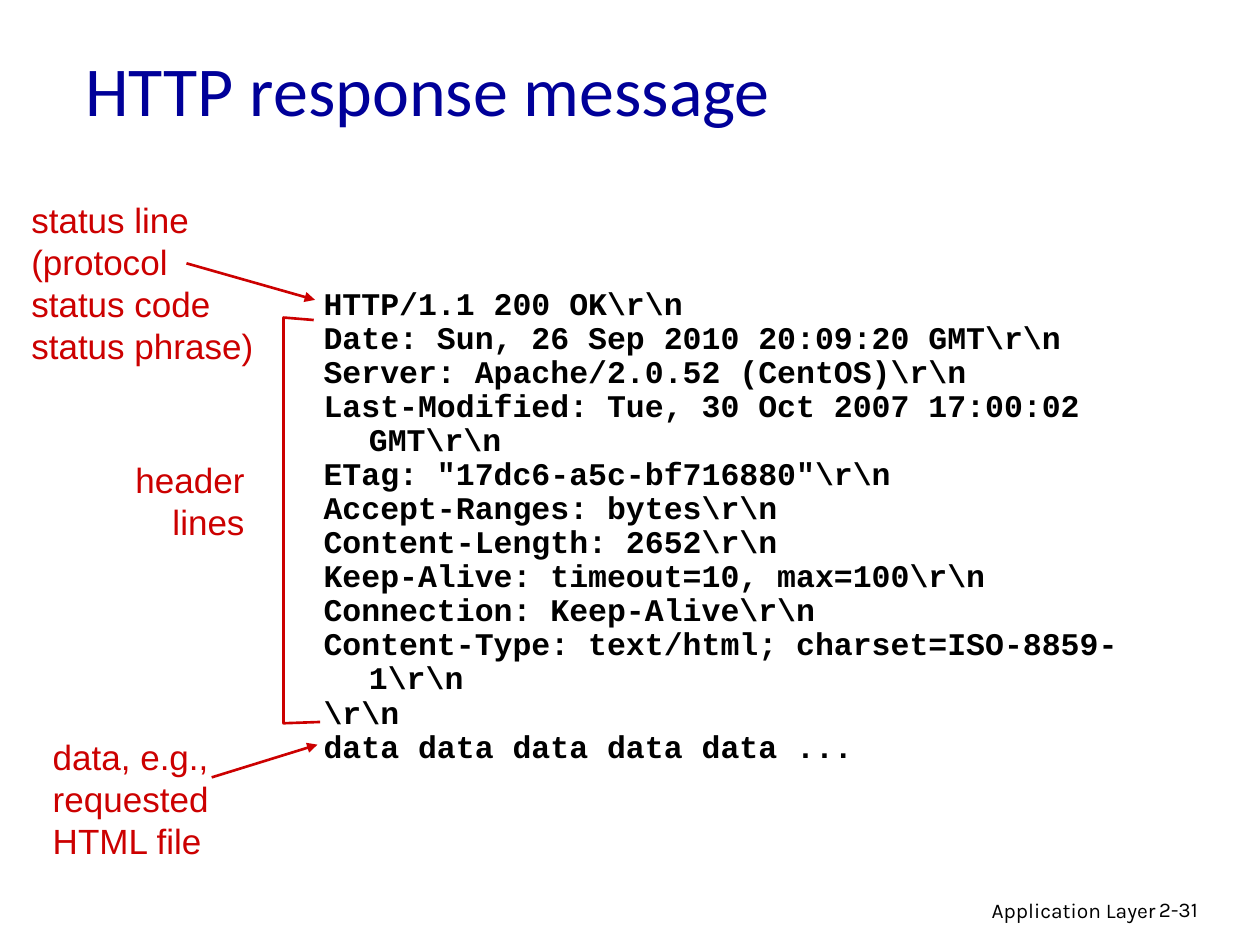
import pptx
import pptx.dml.color
import pptx.enum.shapes
import pptx.enum.text
import pptx.oxml
import pptx.oxml.ns
import pptx.util
from pptx.util import Inches

NAVY = pptx.dml.color.RGBColor(0x00, 0x00, 0x99)
RED = pptx.dml.color.RGBColor(0xCC, 0x00, 0x00)
BLACK = pptx.dml.color.RGBColor(0x00, 0x00, 0x00)
LEFT = pptx.enum.text.PP_ALIGN.LEFT
RIGHT = pptx.enum.text.PP_ALIGN.RIGHT
LINE_WIDTH = pptx.util.Pt(1.5)

RESPONSE_LINES = [
    r"HTTP/1.1 200 OK\r\n",
    r"Date: Sun, 26 Sep 2010 20:09:20 GMT\r\n",
    r"Server: Apache/2.0.52 (CentOS)\r\n",
    r"Last-Modified: Tue, 30 Oct 2007 17:00:02 GMT\r\n",
    r'ETag: "17dc6-a5c-bf716880"\r\n',
    r"Accept-Ranges: bytes\r\n",
    r"Content-Length: 2652\r\n",
    r"Keep-Alive: timeout=10, max=100\r\n",
    r"Connection: Keep-Alive\r\n",
    r"Content-Type: text/html; charset=ISO-8859-1\r\n",
    r"\r\n",
    "data data data data data ...",
]


def add_text(slide, box, lines, font_name, size, color, align=LEFT, bold=False):
    shape = slide.shapes.add_textbox(*(Inches(length) for length in box))
    frame = shape.text_frame
    frame.word_wrap = True
    for index, line in enumerate(lines):
        paragraph = frame.add_paragraph() if index else frame.paragraphs[0]
        paragraph.alignment = align
        run = paragraph.add_run()
        run.text = line
        run.font.name = font_name
        run.font.size = pptx.util.Pt(size)
        run.font.bold = bold
        run.font.color.rgb = color
    return frame


def add_label(slide, box, lines, align=LEFT):
    frame = add_text(slide, box, lines, "Arial", 20, RED, align)
    frame.word_wrap = False
    frame.auto_size = pptx.enum.text.MSO_AUTO_SIZE.SHAPE_TO_FIT_TEXT


def add_response(slide, box):
    frame = add_text(slide, box, RESPONSE_LINES, "Courier New", 18, BLACK, bold=True)
    frame.auto_size = pptx.enum.text.MSO_AUTO_SIZE.SHAPE_TO_FIT_TEXT
    for paragraph in frame.paragraphs:
        paragraph.line_spacing = 0.9
        properties = paragraph._p.get_or_add_pPr()
        properties.set("marL", str(Inches(0.38)))
        properties.set("indent", str(Inches(-0.36)))


def add_arrow(slide, start, end):
    connector = slide.shapes.add_connector(
        pptx.enum.shapes.MSO_CONNECTOR.STRAIGHT,
        *(Inches(length) for length in start + end),
    )
    connector.line.color.rgb = RED
    connector.line.width = LINE_WIDTH
    head = pptx.oxml.parse_xml(
        f'<a:tailEnd {pptx.oxml.ns.nsdecls("a")} type="triangle"/>'
    )
    connector.line._get_or_add_ln().append(head)
    effects = pptx.oxml.parse_xml(f'<a:effectLst {pptx.oxml.ns.nsdecls("a")}/>')
    connector._element.spPr.append(effects)


def add_bracket(slide, points):
    corners = [(Inches(x), Inches(y)) for x, y in points]
    builder = slide.shapes.build_freeform(*corners[0])
    builder.add_line_segments(corners[1:], close=False)
    shape = builder.convert_to_shape()
    shape.shadow.inherit = False
    shape.fill.background()
    shape.line.color.rgb = RED
    shape.line.width = LINE_WIDTH


def main():
    presentation = pptx.Presentation()
    presentation.slide_width = Inches(10)
    presentation.slide_height = Inches(7.5)
    slide = presentation.slides.add_slide(presentation.slide_layouts[6])

    add_text(slide, (6.1, 7.07, 3.17, 0.31), ["Application Layer"], "Karla", 12, BLACK, RIGHT)
    add_text(slide, (9.1, 7.07, 0.74, 0.3), ["2-31"], "Karla", 12, BLACK)
    title = add_text(
        slide, (0.58, 0.17, 8.5, 1.07), ["HTTP response message"], "Calibri", 40, NAVY
    )
    title.vertical_anchor = pptx.enum.text.MSO_ANCHOR.MIDDLE

    status_lines = ["status line", "(protocol", "status code", "status phrase)"]
    add_label(slide, (0.15, 1.53, 1.98, 1.44), status_lines)
    add_arrow(slide, (1.48, 2.09), (2.5, 2.38))
    add_bracket(slide, [(2.49, 2.54), (2.25, 2.52), (2.25, 5.74), (2.54, 5.73)])
    add_label(slide, (0.96, 3.59, 1.08, 0.77), ["header", "lines"], RIGHT)
    add_arrow(slide, (1.68, 6.17), (2.52, 5.91))
    add_label(slide, (0.32, 5.79, 1.51, 1.1), ["data, e.g.,", "requested", "HTML file"])
    add_response(slide, (2.45, 2.24, 6.9, 3.88))

    presentation.save("out.pptx")


if __name__ == "__main__":
    main()
